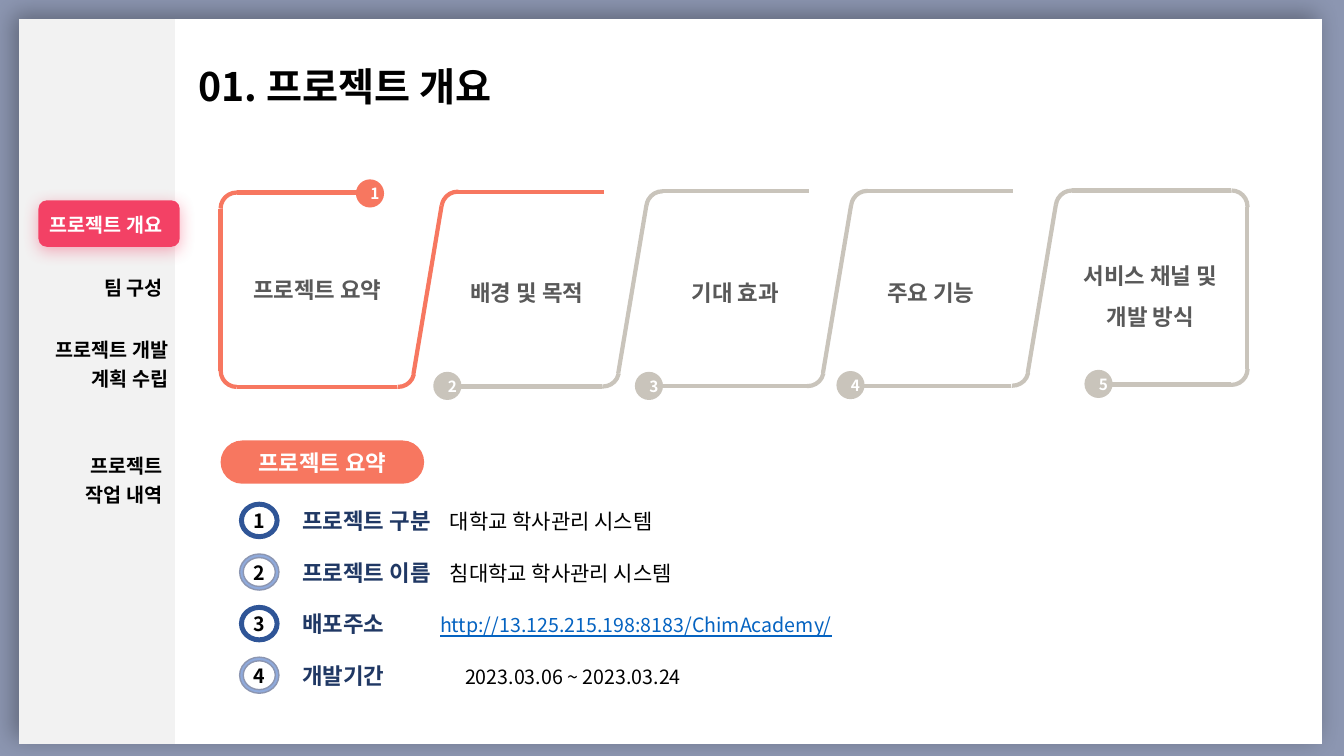
"""Build the project overview slide."""
from dataclasses import dataclass

from lxml.etree import SubElement
from pptx import Presentation
from pptx.dml.color import RGBColor
from pptx.enum.shapes import MSO_CONNECTOR, MSO_SHAPE
from pptx.enum.text import MSO_ANCHOR, PP_ALIGN
from pptx.oxml.ns import qn
from pptx.util import Cm, Pt


@dataclass(frozen=True)
class Theme:
    """Colours, type sizes and the font of the deck."""
    font: str = "Noto Sans CJK KR"
    backdrop: str = "8C96B1"
    sidebar: str = "F2F2F2"
    white: str = "FFFFFF"
    black: str = "000000"
    active: str = "F34165"
    coral: str = "F77760"
    stone: str = "C9C4BB"
    label: str = "595959"
    navy: str = "203864"
    blue: str = "2F5597"
    sky: str = "8FAADC"
    link: str = "0563C1"
    title_size: float = 28
    head_size: float = 16
    value_size: float = 15
    body_size: float = 14
    badge_size: float = 11
    stroke: float = 3


@dataclass(frozen=True)
class Words:
    """A piece of text with one look."""
    text: str
    size: float
    color: str
    bold: bool = True
    underline: bool = False


class Board:
    """Draws styled elements on the current slide."""

    def __init__(self, slide, theme):
        """Keep the slide and its theme."""
        self.slide, self.theme = slide, theme
        self.paint(slide.background.fill, theme.backdrop)

    def paint(self, fill, color):
        """Apply a solid colour."""
        fill.solid()
        fill.fore_color.rgb = RGBColor.from_string(color)

    def add_words(self, paragraph, pieces, align=PP_ALIGN.LEFT):
        """Add styled runs to a paragraph."""
        paragraph.alignment = align
        for piece in pieces:
            run = paragraph.add_run()
            run.text = piece.text
            font = run.font
            font.name, font.size = self.theme.font, Pt(piece.size)
            font.bold, font.underline = piece.bold, piece.underline
            font.color.rgb = RGBColor.from_string(piece.color)
            east_asian = SubElement(run._r.get_or_add_rPr(), qn("a:ea"))
            east_asian.set("typeface", self.theme.font)

    def shape(self, kind, x, y, w, h, fill=None, line=None, width=1,
              adjust=(), rotation=0, words=None, left=0):
        """Add a preset shape, optionally with one centred text."""
        form = self.slide.shapes.add_shape(kind, Cm(x), Cm(y), Cm(w), Cm(h))
        form.shadow.inherit = False
        form.rotation = rotation
        for index, value in enumerate(adjust):
            form.adjustments[index] = value
        if fill:
            self.paint(form.fill, fill)
        else:
            form.fill.background()
        if line:
            self.paint(form.line.fill, line)
            form.line.width = Pt(width)
        else:
            form.line.fill.background()
        if words:
            frame = form.text_frame
            frame.word_wrap = False
            frame.vertical_anchor = MSO_ANCHOR.MIDDLE
            frame.margin_left, frame.margin_right = Cm(left), 0
            frame.margin_top = frame.margin_bottom = 0
            self.add_words(frame.paragraphs[0], [words], PP_ALIGN.CENTER)
        return form

    def shadow(self, form, color, alpha, blur, distance, angle):
        """Give a shape an outer shadow."""
        effects = form.element.spPr.find(qn("a:effectLst"))
        outer = SubElement(effects, qn("a:outerShdw"), blurRad=str(Pt(blur)),
                           dist=str(Pt(distance)), dir=str(angle * 60000),
                           algn="ctr", rotWithShape="0")
        tint = SubElement(outer, qn("a:srgbClr"), val=color)
        SubElement(tint, qn("a:alpha"), val=str(alpha * 1000))

    def stroke(self, x1, y1, x2, y2, color):
        """Add a straight line of the process outline."""
        line = self.slide.shapes.add_connector(
            MSO_CONNECTOR.STRAIGHT, Cm(x1), Cm(y1), Cm(x2), Cm(y2))
        self.paint(line.line.fill, color)
        line.line.width = Pt(self.theme.stroke)
        SubElement(line.element.spPr, qn("a:effectLst"))

    def corner(self, x, y, rotation, color, start=162, end=1.2):
        """Add a rounded corner of the process outline."""
        self.shape(MSO_SHAPE.ARC, x, y, 0.81, 0.81, line=color,
                   width=self.theme.stroke, adjust=(start, end), rotation=rotation)

    def text(self, x, y, w, h, paragraphs, align=PP_ALIGN.LEFT, spacing=None, tab=None):
        """Add a text box made of paragraphs of styled pieces."""
        frame = self.slide.shapes.add_textbox(Cm(x), Cm(y), Cm(w), Cm(h)).text_frame
        frame.word_wrap = True
        for index, pieces in enumerate(paragraphs):
            paragraph = frame.add_paragraph() if index else frame.paragraphs[0]
            self.add_words(paragraph, pieces, align)
            if spacing:
                paragraph.line_spacing = spacing
            if tab:
                stops = SubElement(paragraph._p.get_or_add_pPr(), qn("a:tabLst"))
                SubElement(stops, qn("a:tab"), pos=str(Cm(tab)), algn="l")

    def menu(self, x, y, w, rows):
        """Add the one-column navigation table."""
        height = sum(row[0] for row in rows)
        table = self.slide.shapes.add_table(
            len(rows), 1, Cm(x), Cm(y), Cm(w), Cm(height)).table
        table.first_row = table.horz_banding = False
        style = table._tbl.tblPr.find(qn("a:tableStyleId"))
        style.text = "{2D5ABB26-0587-4C30-8999-92F81FD0307C}"
        for index, (tall, words, align, left, right) in enumerate(rows):
            table.rows[index].height = Cm(tall)
            cell = table.cell(index, 0)
            cell.fill.background()
            cell.vertical_anchor = MSO_ANCHOR.MIDDLE
            cell.margin_left, cell.margin_right = Cm(left), Cm(right)
            if words:
                self.add_words(cell.text_frame.paragraphs[0], [words], align)


theme = Theme()
deck = Presentation()
deck.slide_width, deck.slide_height = Cm(33.87), Cm(19.05)
board = Board(deck.slides.add_slide(deck.slide_layouts[6]), theme)

page = board.shape(MSO_SHAPE.RECTANGLE, 0.48, 0.48, 32.84, 18.26, theme.white)
page.fill.gradient()
page.fill.gradient_angle = 0
for stop, color in zip(page.fill.gradient_stops, (theme.sidebar, theme.white)):
    stop.position = 0.12
    stop.color.rgb = RGBColor.from_string(color)
board.shadow(page, theme.black, 31, 17, 5, 225)

current = board.shape(MSO_SHAPE.ROUNDED_RECTANGLE, 0.97, 5.05, 3.56, 1.17,
                      theme.active, adjust=[0.18])
board.shadow(current, theme.active, 41, 12, 3, 90)

menu_rows = [(1.24, None, None, 0.25, 0.25)]
for tall, name, color, align, left, right in [
        (1.47, "프로젝트 개요", theme.white, PP_ALIGN.CENTER, 0.25, 0.25),
        (1.73, "팀 구성", theme.black, PP_ALIGN.RIGHT, 0.25, 0.4),
        (2.13, "프로젝트 개발 계획 수립", theme.black, PP_ALIGN.RIGHT, 0.25, 0.25),
        (3.71, "프로젝트 작업 내역", theme.black, PP_ALIGN.RIGHT, 0.8, 0.4)]:
    menu_rows.append((tall, Words(name, theme.body_size, color), align, left, right))
menu_rows += [(1.18, None, None, 0.25, 0.25)] * 4
board.menu(0.84, 3.66, 3.66, menu_rows)

board.text(4.75, 1.45, 21.2, 1.45,
           [[Words("01. 프로젝트 개요", theme.title_size, theme.black)]])

board.corner(5.56, 4.85, 270, theme.coral)
board.stroke(5.97, 4.85, 9.17, 4.85, theme.coral)
board.stroke(5.56, 5.26, 5.56, 9.35, theme.coral)
board.corner(5.56, 8.94, 180, theme.coral)

pitch = 5.16
for step in range(4):
    color = theme.stone if step else theme.coral
    x, rise = 5.97 + step * pitch, step * 0.01
    top_end = 9.58 if step == 3 else 9.25
    board.stroke(x, 9.75 - rise, x + 4.04, 9.75 - rise, color)
    board.corner(x + 3.66, 8.94 - rise, 90, color, 168.6, 1.46)
    board.stroke(x + 4.45, 9.42 - rise, x + pitch, 5.18 - rise, color)
    board.corner(x + pitch, 4.83 - rise, 270, color, 166.35, 1.26)
    board.stroke(x + 5.56, 4.83 - rise, x + top_end, 4.83 - rise, color)

board.corner(30.63, 8.89, 90, theme.stone)
board.stroke(31.01, 9.69, 27.81, 9.69, theme.stone)
board.stroke(31.43, 9.3, 31.43, 5.21, theme.stone)
board.corner(30.63, 4.8, 0, theme.stone)

stages = [(5.72, 6.5, ["프로젝트 요약"], 8.97, 4.52),
          (11, 6.58, ["배경 및 목적"], 10.92, 9.37),
          (16.26, 6.58, ["기대 효과"], 16, 9.37),
          (21.18, 6.58, ["주요 기능"], 21.08, 9.35),
          (26.72, 6.15, ["서비스 채널 및", "개발 방식"], 27.33, 9.32)]
for number, (x, y, lines, badge_x, badge_y) in enumerate(stages, 1):
    board.text(x, y, 4.55, 1.17 * len(lines),
               [[Words(line, theme.head_size, theme.label)] for line in lines],
               PP_ALIGN.CENTER, spacing=1.5)
    board.shape(MSO_SHAPE.OVAL, badge_x, badge_y, 0.71, 0.71,
                theme.coral if number == 1 else theme.stone, left=0.25,
                words=Words(str(number), theme.badge_size, theme.white))

board.shape(MSO_SHAPE.ROUNDED_RECTANGLE, 5.56, 11.1, 5.13, 1.09, theme.coral,
            adjust=[0.5], words=Words("프로젝트 요약", theme.head_size, theme.white))

facts = [("프로젝트 구분", "대학교 학사관리 시스템", theme.value_size, theme.black, 3.72),
         ("프로젝트 이름", "침대학교 학사관리 시스템", theme.value_size, theme.black, 3.72),
         ("배포주소", "http://13.125.215.198:8183/ChimAcademy/",
          theme.body_size, theme.link, 3.47),
         ("개발기간", "2023.03.06 ~ 2023.03.24", theme.body_size, theme.black, 4.1)]
for index, (key, value, size, color, tab) in enumerate(facts):
    y = 12.66 + index * 1.3
    ring, edge = (theme.sky, theme.backdrop) if index % 2 else (theme.blue, theme.blue)
    board.shape(MSO_SHAPE.DONUT, 6.04, y, 0.99, 0.91, ring, edge, adjust=[0.1])
    board.text(6.04, y + 0.04, 0.99, 0.86,
               [[Words(str(index + 1), theme.body_size, theme.black)]], PP_ALIGN.CENTER)
    board.text(7.37, y, 17.35, 0.94,
               [[Words(key + "\t", theme.head_size, theme.navy),
                 Words(value, size, color, False, color == theme.link)]], tab=tab)

deck.save("out.pptx")
